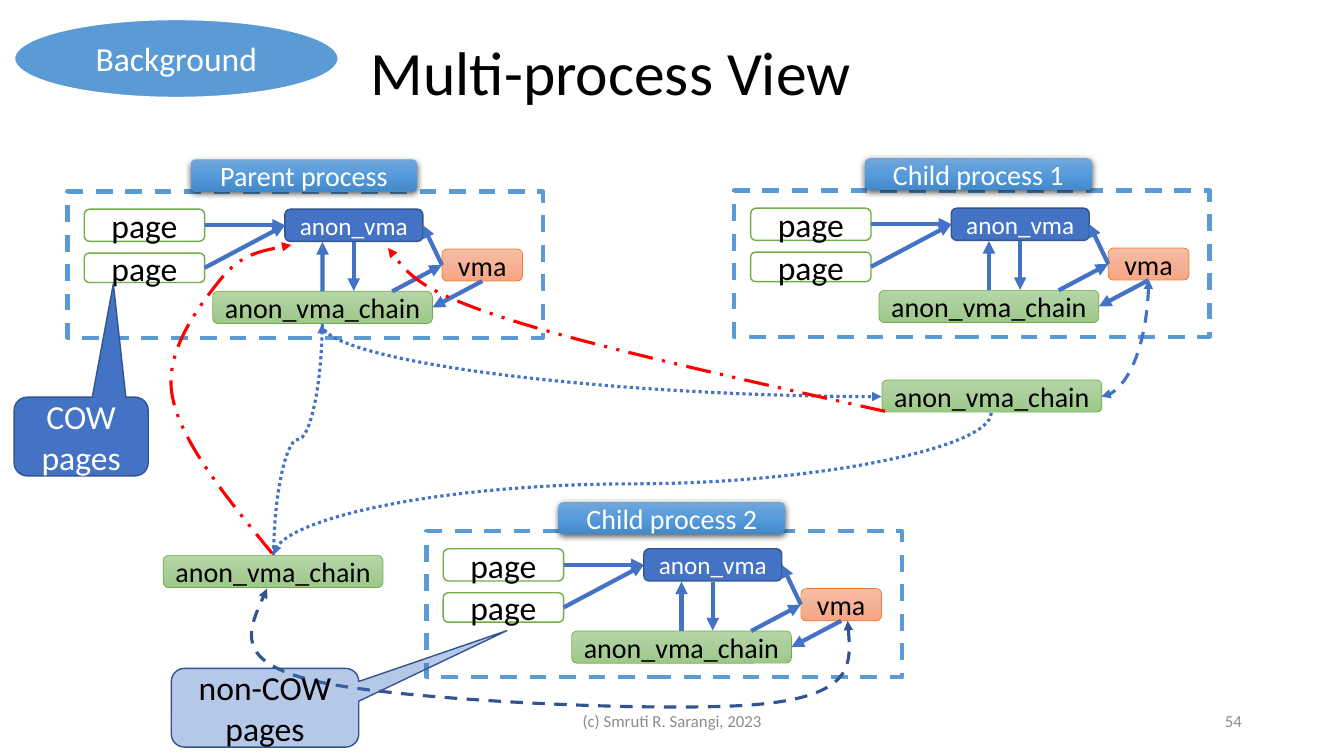
import pptx
import pptx.dml.color
import pptx.enum.dml
import pptx.enum.shapes
import pptx.enum.text
import pptx.oxml.ns
import pptx.util
from dataclasses import dataclass
from lxml import etree
from typing import Any, Optional

Pt = pptx.util.Pt
qn = pptx.oxml.ns.qn
Shapes = pptx.enum.shapes.MSO_SHAPE
Connectors = pptx.enum.shapes.MSO_CONNECTOR
Dash = pptx.enum.dml.MSO_LINE
Align = pptx.enum.text.PP_ALIGN
TOP, LEFT, BOTTOM, RIGHT = range(4)
Point = tuple[float, float]
Box = tuple[float, float, float, float]


@dataclass(frozen=True)
class Theme:
    font: str = "Calibri"
    black: str = "000000"
    white: str = "FFFFFF"
    grey: str = "8C8C8C"
    blue: str = "4472C4"
    dark_blue: str = "325491"
    sky: str = "5B9BD5"
    green: str = "70AD47"
    orange: str = "ED7D31"
    red: str = "FF0000"
    greens: tuple[str, ...] = ("B5D5A7", "AACE9A", "9CC987")
    oranges: tuple[str, ...] = ("F7BDA5", "F5B196", "F8A582")
    skies: tuple[str, ...] = ("71A6DB", "559BDB", "448ACA")
    title_size: float = 44
    large: float = 24
    medium: float = 20
    small: float = 18
    footer_size: float = 12


THEME = Theme()


@dataclass(frozen=True)
class Style:
    fills: tuple[str, ...]  # none, one solid colour, or gradient stops
    line: Optional[str]
    width: float = 1
    size: float = THEME.large
    color: str = THEME.black
    dash: Any = None
    opacity: Optional[int] = None
    shadow: bool = False


PAGE = Style((THEME.white,), THEME.green)
ANON_VMA = Style((THEME.blue,), THEME.dark_blue, size=THEME.small, color=THEME.white)
CHAIN = Style(THEME.greens, THEME.green, 0.5, THEME.medium)
VMA = Style(THEME.oranges, THEME.orange, 0.5, THEME.medium)
FRAME = Style((), THEME.sky, 3, dash=Dash.DASH)
LABEL = Style(THEME.skies, None, size=THEME.medium, color=THEME.white, shadow=True)
BADGE = Style((THEME.sky,), THEME.white, 1.5, color=THEME.white)
COW = Style((THEME.blue,), THEME.dark_blue, color=THEME.white)
NON_COW = Style((THEME.blue,), THEME.dark_blue, opacity=39)


@dataclass(frozen=True)
class Process:
    name: str
    left: float
    top: float
    label: Point


@dataclass(frozen=True)
class CurvedLink:
    box: Box
    rotation: int
    flips: str
    preset: str
    dash: Any = Dash.ROUND_DOT
    head: bool = False


@dataclass(frozen=True)
class FreeLink:
    start: Point
    curves: tuple[tuple[Point, Point, Point], ...]
    color: str
    dash: Any
    head: bool = False


@dataclass(frozen=True)
class Callout:
    text: str
    box: Box
    tip: Point
    style: Style


PROCESSES = (
    Process("Parent process", 48.2, 136.8, (136.1, 113.8)),
    Process("Child process 1", 524.2, 136.1, (617.8, 113)),
    Process("Child process 2", 304.6, 379.4, (398.9, 358.6)),
)
CHAIN_SIZE = (157, 23)
LABEL_SIZE = (162, 23)
SHARED_CHAINS = ((630, 271.4), (116.6, 396.7))
CURVED_LINKS = (
    CurvedLink((403.9, 57.6, 51.8, 399.6), 270, "H", "curvedConnector2"),
    CurvedLink((401, 89.3, 101.5, 512.6), 90, "", "curvedConnector3"),
    CurvedLink((130.3, 296.6, 164.9, 34.6), 90, "HV", "curvedConnector3"),
    CurvedLink((761.8, 224.6, 83.5, 33.8), 90, "", "curvedConnector2", Dash.DASH, True),
)
FREE_LINKS = (
    FreeLink((605.5, 443.5), (
        ((607.7, 469.4), (610.6, 495.4), (547.2, 502.6)),
        ((483.8, 509.8), (285.1, 500.4), (226.1, 486.7)),
        ((166.3, 473), (178.6, 447.1), (190.8, 420.5))), THEME.dark_blue, Dash.DASH, True),
    FreeLink((194.4, 395.3), (
        ((162, 355.7), (128.9, 315.4), (123.1, 283)),
        ((116.6, 250.6), (143.3, 217.4), (157.7, 199.4)),
        ((172.1, 181.4), (190.1, 178.6), (208.1, 175))), THEME.red, Dash.DASH_DOT_DOT),
    FreeLink((632.2, 293.8), (
        ((524.9, 270), (418.3, 246.2), (359.3, 226.8)),
        ((299.5, 207.4), (288.7, 192.2), (277.2, 177.1))), THEME.red, Dash.DASH_DOT_DOT),
)
CALLOUTS = (
    Callout("COW pages", (10.1, 283.7, 95.8, 56.2), (0.24, -1.94), COW),
    Callout("non-COW pages", (122.4, 477.4, 133.9, 56.2), (1.29, -0.98), NON_COW),
)


def rgb(color: str) -> Any:
    return pptx.dml.color.RGBColor.from_string(color)


def write(shape: Any, text: str, size: float, color: str, align: Any = Align.CENTER) -> Any:
    frame = shape.text_frame
    frame.word_wrap = True
    frame.vertical_anchor = pptx.enum.text.MSO_ANCHOR.MIDDLE
    paragraph = frame.paragraphs[0]
    paragraph.alignment = align
    run = paragraph.add_run()
    run.text = text
    run.font.name, run.font.size = THEME.font, Pt(size)
    run.font.color.rgb = rgb(color)
    return paragraph


def paint(shape: Any, style: Style) -> None:
    properties = shape._element.spPr
    if not style.fills:
        shape.fill.background()
    elif len(style.fills) == 1:
        shape.fill.solid()
        shape.fill.fore_color.rgb = rgb(style.fills[0])
        if style.opacity is not None:
            color = properties.find(qn("a:solidFill"))[0]
            etree.SubElement(color, qn("a:alpha"), val=str(style.opacity * 1000))
    else:
        shape.fill.gradient()
        shape.fill.gradient_angle = 270
        stops = properties.find(qn("a:gradFill")).find(qn("a:gsLst"))
        for stop in list(stops):
            stops.remove(stop)
        for index, color in enumerate(style.fills):
            position = 100000 * index // (len(style.fills) - 1)
            stop = etree.SubElement(stops, qn("a:gs"), pos=str(position))
            etree.SubElement(stop, qn("a:srgbClr"), val=color)
    if style.line is None:
        shape.line.fill.background()
    else:
        stroke(shape, style.line, style.width, style.dash)
    shape.shadow.inherit = False
    if style.shadow:
        effects = properties.find(qn("a:effectLst"))
        shadow = etree.SubElement(effects, qn("a:outerShdw"), blurRad=str(Pt(4.5)),
                                  dist=str(Pt(1.5)), dir="5400000", rotWithShape="0")
        color = etree.SubElement(shadow, qn("a:srgbClr"), val=THEME.black)
        etree.SubElement(color, qn("a:alpha"), val="63000")


def stroke(shape: Any, color: str, width: float, dash: Any = None,
           head: bool = False, tail: bool = False) -> None:
    shape.line.color.rgb = rgb(color)
    shape.line.width = Pt(width)
    if dash is not None:
        shape.line.dash_style = dash
    for tag, wanted in (("a:headEnd", head), ("a:tailEnd", tail)):
        if wanted:
            etree.SubElement(shape._element.spPr.find(qn("a:ln")), qn(tag), type="triangle")


def add_box(shapes: Any, box: Box, style: Style, text: str = "",
            kind: Any = Shapes.ROUNDED_RECTANGLE) -> Any:
    shape = shapes.add_shape(kind, *map(Pt, box))
    paint(shape, style)
    if text:
        write(shape, text, style.size, style.color)
    return shape


def add_text(shapes: Any, box: Box, text: str, size: float, color: str, align: Any) -> Any:
    return write(shapes.add_textbox(*map(Pt, box)), text, size, color, align)


def add_arrow(shapes: Any, start: Point, end: Point,
              source: Optional[tuple[Any, int]] = None,
              target: Optional[tuple[Any, int]] = None) -> None:
    arrow = shapes.add_connector(Connectors.STRAIGHT, *map(Pt, start + end))
    if source:
        arrow.begin_connect(*source)
    if target:
        arrow.end_connect(*target)
    stroke(arrow, THEME.blue, 3, tail=True)
    etree.SubElement(arrow._element.spPr, qn("a:effectLst"))


def add_process(slide: Any, process: Process) -> None:
    shapes = slide.shapes.add_group_shape().shapes
    x, y = process.left, process.top

    def part(box: Box, style: Style, text: str) -> Any:
        return add_box(shapes, (x + box[0], y + box[1], box[2], box[3]), style, text)

    pages = [part((12, 12.6, 86, 23), PAGE, "page"), part((12, 44, 86, 21), PAGE, "page")]
    anon_vma = part((155.3, 12.6, 98.6, 23), ANON_VMA, "anon_vma")
    chain = part((103.7, 71.3, *CHAIN_SIZE), CHAIN, "anon_vma_chain")
    vma = part((267.5, 41, 57.6, 23), VMA, "vma")
    here = (x, y)
    for page in pages:
        add_arrow(shapes, here, here, (page, RIGHT), (anon_vma, LEFT))
    add_arrow(shapes, (x + 204.5, y + 36), (x + 204.5, y + 71))
    add_arrow(shapes, here, (x + 182.2, y + 36), source=(chain, TOP))
    add_arrow(shapes, (x + 232, y + 71.3), here, target=(vma, LEFT))
    add_arrow(shapes, here, here, (vma, BOTTOM), (chain, RIGHT))
    add_arrow(shapes, here, here, (vma, LEFT), (anon_vma, RIGHT))
    add_box(shapes, (x, y, 339.8, 104.4), FRAME, kind=Shapes.RECTANGLE)


def add_curved_link(shapes: Any, link: CurvedLink) -> None:
    left, top, width, height = link.box
    connector = shapes.add_connector(
        Connectors.CURVE, Pt(left), Pt(top), Pt(left + width), Pt(top + height))
    properties = connector._element.spPr
    transform = properties.find(qn("a:xfrm"))
    transform.set("rot", str(link.rotation * 60000))
    for axis in link.flips:
        transform.set("flip" + axis, "1")
    properties.find(qn("a:prstGeom")).set("prst", link.preset)
    stroke(connector, THEME.blue, 2.25, link.dash, link.head, True)
    etree.SubElement(properties, qn("a:effectLst"))


def add_free_link(shapes: Any, link: FreeLink) -> None:
    builder = shapes.build_freeform(*map(Pt, link.start))
    builder.add_line_segments([tuple(map(Pt, curve[-1])) for curve in link.curves], close=False)
    shape = builder.convert_to_shape()
    # Turn each straight segment into a cubic curve
    segments = list(shape._element.iter(qn("a:lnTo")))
    for segment, curve in zip(segments, link.curves):
        bezier = etree.Element(qn("a:cubicBezTo"))
        for x, y in curve:
            etree.SubElement(bezier, qn("a:pt"), x=str(Pt(x) - shape.left), y=str(Pt(y) - shape.top))
        segment.getparent().replace(segment, bezier)
    shape.fill.background()
    stroke(shape, link.color, 2.25, link.dash, link.head, True)
    shape.shadow.inherit = False


def main() -> None:
    presentation = pptx.Presentation()
    presentation.slide_width, presentation.slide_height = Pt(960), Pt(540)
    slide = presentation.slides.add_slide(presentation.slide_layouts[6])
    shapes = slide.shapes

    # Title, footer and badge
    title = add_text(shapes, (257.8, 17.3, 374.4, 73.4), "Multi-process View",
                     THEME.title_size, THEME.black, Align.LEFT)
    title.line_spacing = 0.9
    add_text(shapes, (318.2, 500.4, 324, 28.8), "(c) Smruti R. Sarangi, 2023",
             THEME.footer_size, THEME.grey, Align.CENTER)
    add_text(shapes, (678.2, 500.4, 216, 28.8), "54", THEME.footer_size, THEME.grey, Align.RIGHT)
    add_box(shapes, (10.1, 13.7, 231.8, 56.2), BADGE, "Background", Shapes.OVAL)

    # Processes and the chains between them
    for process in PROCESSES:
        add_process(slide, process)
    for corner in SHARED_CHAINS:
        add_box(shapes, corner + CHAIN_SIZE, CHAIN, "anon_vma_chain")

    # Links across processes
    for curved_link in CURVED_LINKS:
        add_curved_link(shapes, curved_link)
    for free_link in FREE_LINKS:
        add_free_link(shapes, free_link)

    # Process labels and callouts
    for process in PROCESSES:
        add_box(shapes, process.label + LABEL_SIZE, LABEL, process.name)
    for callout in CALLOUTS:
        shape = add_box(shapes, callout.box, callout.style, callout.text,
                        Shapes.ROUNDED_RECTANGULAR_CALLOUT)
        shape.adjustments[0], shape.adjustments[1] = callout.tip

    presentation.save("out.pptx")


if __name__ == "__main__":
    main()
